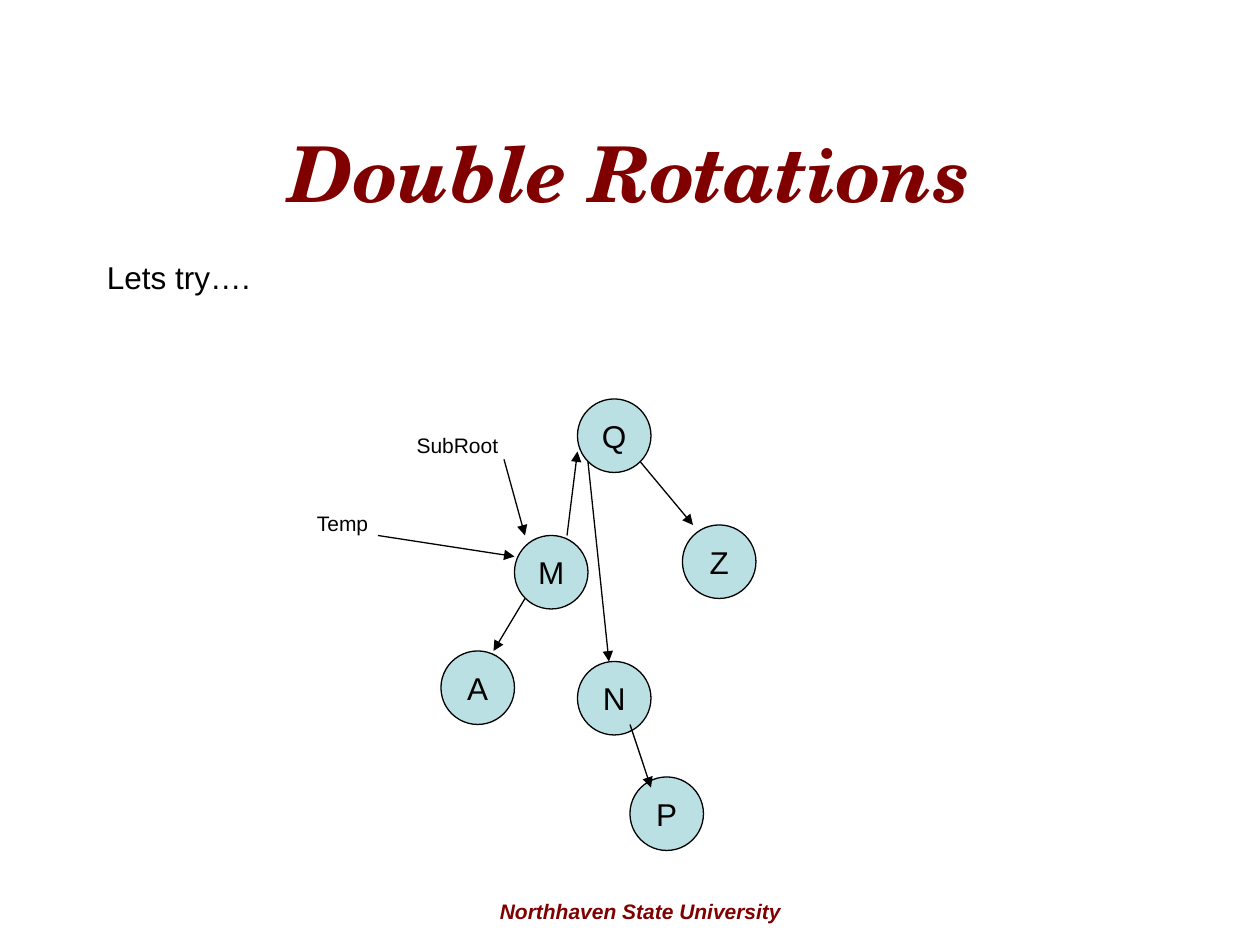
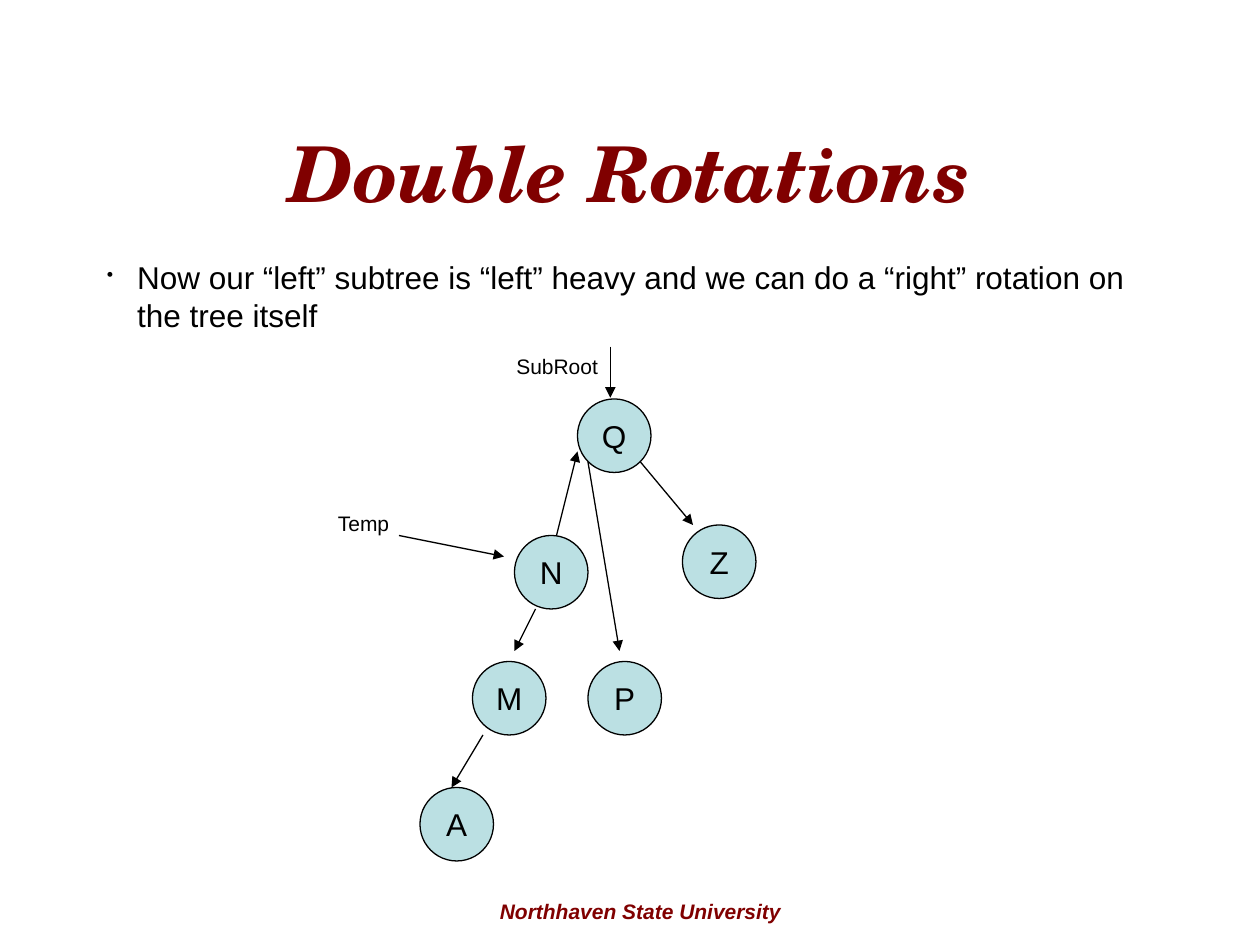
from dataclasses import dataclass

from pptx import Presentation
from pptx.dml.color import RGBColor
from pptx.enum.shapes import MSO_CONNECTOR, MSO_SHAPE
from pptx.enum.text import MSO_ANCHOR, MSO_AUTO_SIZE, PP_ALIGN
from pptx.oxml.ns import qn
from pptx.slide import Slide
from pptx.text.text import TextFrame
from pptx.util import Emu, Pt

ELLIPSE = MSO_SHAPE.OVAL
STRAIGHT = MSO_CONNECTOR.STRAIGHT
LEFT, CENTER = PP_ALIGN.LEFT, PP_ALIGN.CENTER
TOP, MIDDLE = MSO_ANCHOR.TOP, MSO_ANCHOR.MIDDLE
FIT_SHAPE = MSO_AUTO_SIZE.SHAPE_TO_FIT_TEXT

# Shared look; lengths in px, 96 to the inch
PX = 9525
WIDTH, HEIGHT = 960, 720
NODE = 56
LINE_WIDTH = Pt(0.75)
BLACK, MAROON, PALE_BLUE = "000000", "800000", "BBE0E3"


@dataclass(frozen=True)
class Style:
    size: int
    color: str = BLACK
    font: str = "Arial"
    strong: bool = False  # bold italic
    align: PP_ALIGN = LEFT
    anchor: MSO_ANCHOR = TOP
    before: float = 0


TITLE = Style(44, MAROON, "TeX Gyre Schola", True, CENTER, MIDDLE)
FOOTER = Style(12, MAROON, strong=True, align=CENTER, before=7.5)
BODY = Style(18, before=11.2)
LABEL = Style(12, before=7.5)
LETTER = Style(18, align=CENTER, anchor=MIDDLE)


@dataclass(frozen=True)
class Node:
    letter: str
    x: int
    y: int


@dataclass(frozen=True)
class Arrow:
    x1: int
    y1: int
    x2: int
    y2: int


@dataclass(frozen=True)
class Label:
    text: str
    x: int
    y: int
    w: int


@dataclass(frozen=True)
class Tree:
    body: str
    bullet: bool
    body_h: int
    nodes: tuple[Node, ...]
    arrows: tuple[Arrow, ...]
    labels: tuple[Label, ...]


# Root and right child stay put through the rotation
FIXED_NODES = (Node("Q", 440, 304), Node("Z", 520, 400))
FIXED_ARROWS = (Arrow(488, 352, 528, 400),)

TREES = (
    Tree(
        "Lets try….", False, 38,
        (Node("M", 392, 408), Node("A", 336, 496),
         Node("N", 440, 504), Node("P", 480, 592)),
        (Arrow(384, 350, 400, 408), Arrow(448, 352, 464, 504),
         Arrow(400, 456, 376, 496), Arrow(432, 408, 440, 344),
         Arrow(480, 552, 496, 600), Arrow(288, 408, 392, 424)),
        (Label("Temp", 232, 384, 64), Label("SubRoot", 308, 325, 96)),
    ),
    Tree(
        "Now our “left” subtree is “left” heavy and we can do a “right” "
        "rotation on the tree itself", True, 67,
        (Node("N", 392, 408), Node("M", 360, 504),
         Node("A", 320, 600), Node("P", 448, 504)),
        (Arrow(448, 352, 472, 496), Arrow(368, 560, 344, 600),
         Arrow(408, 464, 392, 496), Arrow(424, 408, 440, 344),
         Arrow(304, 408, 384, 424), Arrow(465, 264, 465, 303)),
        (Label("Temp", 248, 384, 64), Label("SubRoot", 384, 265, 96)),
    ),
)


def px(*lengths: int) -> list[Emu]:
    return [Emu(n * PX) for n in lengths]


def rgb(color: str) -> RGBColor:
    return RGBColor.from_string(color)


def write(tf: TextFrame, text: str, style: Style) -> None:
    tf.vertical_anchor = style.anchor
    p = tf.paragraphs[0]
    p.alignment = style.align
    p.space_before = Pt(style.before)
    r = p.add_run()
    r.text = text
    r.font.name = style.font
    r.font.size = Pt(style.size)
    r.font.bold = r.font.italic = style.strong
    r.font.color.rgb = rgb(style.color)


def add_text(s: Slide, text: str, style: Style,
             x: int, y: int, w: int, h: int) -> TextFrame:
    tf = s.shapes.add_textbox(*px(x, y, w, h)).text_frame
    tf.word_wrap = True
    if style.anchor == TOP:
        tf.auto_size = FIT_SHAPE
    write(tf, text, style)
    return tf


def add_bullet(tf: TextFrame, indent: int) -> None:
    pPr = tf.paragraphs[0]._p.get_or_add_pPr()
    pPr.set("marL", str(indent * PX))
    pPr.set("indent", str(-indent * PX))
    color = pPr.makeelement(qn("a:buClr"), {})
    color.append(color.makeelement(qn("a:srgbClr"), {"val": BLACK}))
    pPr.append(color)
    pPr.append(pPr.makeelement(qn("a:buSzPct"), {"val": "60000"}))
    pPr.append(pPr.makeelement(qn("a:buChar"), {"char": "•"}))


def add_node(s: Slide, node: Node) -> None:
    sp = s.shapes.add_shape(ELLIPSE, *px(node.x, node.y, NODE, NODE))
    sp.shadow.inherit = False
    sp.fill.solid()
    sp.fill.fore_color.rgb = rgb(PALE_BLUE)
    sp.line.color.rgb = rgb(BLACK)
    sp.line.width = LINE_WIDTH
    sp.text_frame.word_wrap = False
    write(sp.text_frame, node.letter, LETTER)


def add_arrow(s: Slide, a: Arrow) -> None:
    cxn = s.shapes.add_connector(STRAIGHT, *px(a.x1, a.y1, a.x2, a.y2))
    cxn.line.color.rgb = rgb(BLACK)
    cxn.line.width = LINE_WIDTH
    ln = cxn.line._get_or_add_ln()
    ln.append(ln.makeelement(qn("a:tailEnd"), {"type": "triangle"}))
    spPr = cxn._element.spPr
    spPr.append(spPr.makeelement(qn("a:effectLst"), {}))


def add_tree_slide(prs: Presentation, tree: Tree) -> None:
    s = prs.slides.add_slide(prs.slide_layouts[6])

    # Footer, title and body text
    add_text(s, "Northhaven State University", FOOTER, 336, 680, 304, 29)
    add_text(s, "Double Rotations", TITLE, 48, 71, 864, 120)
    body = add_text(s, tree.body, BODY, 72, 192, 824, tree.body_h)
    if tree.bullet:
        add_bullet(body, 23)

    # Tree with its pointers
    for node in FIXED_NODES + tree.nodes:
        add_node(s, node)
    for arrow in FIXED_ARROWS + tree.arrows:
        add_arrow(s, arrow)
    for label in tree.labels:
        add_text(s, label.text, LABEL, label.x, label.y, label.w, 29)


def main() -> None:
    prs = Presentation()
    prs.slide_width, prs.slide_height = px(WIDTH, HEIGHT)
    for tree in TREES:
        add_tree_slide(prs, tree)
    prs.save("out.pptx")


if __name__ == "__main__":
    main()
